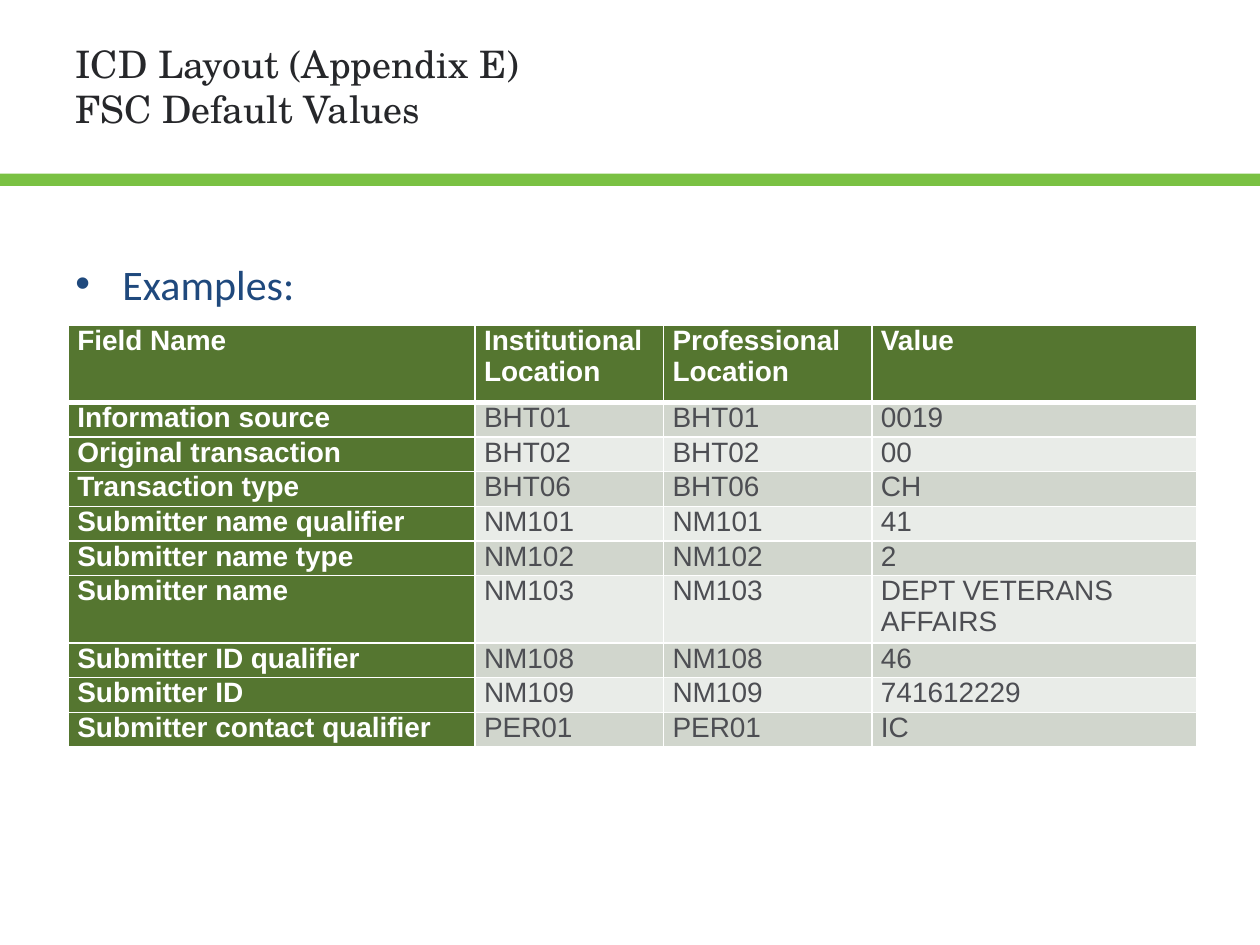
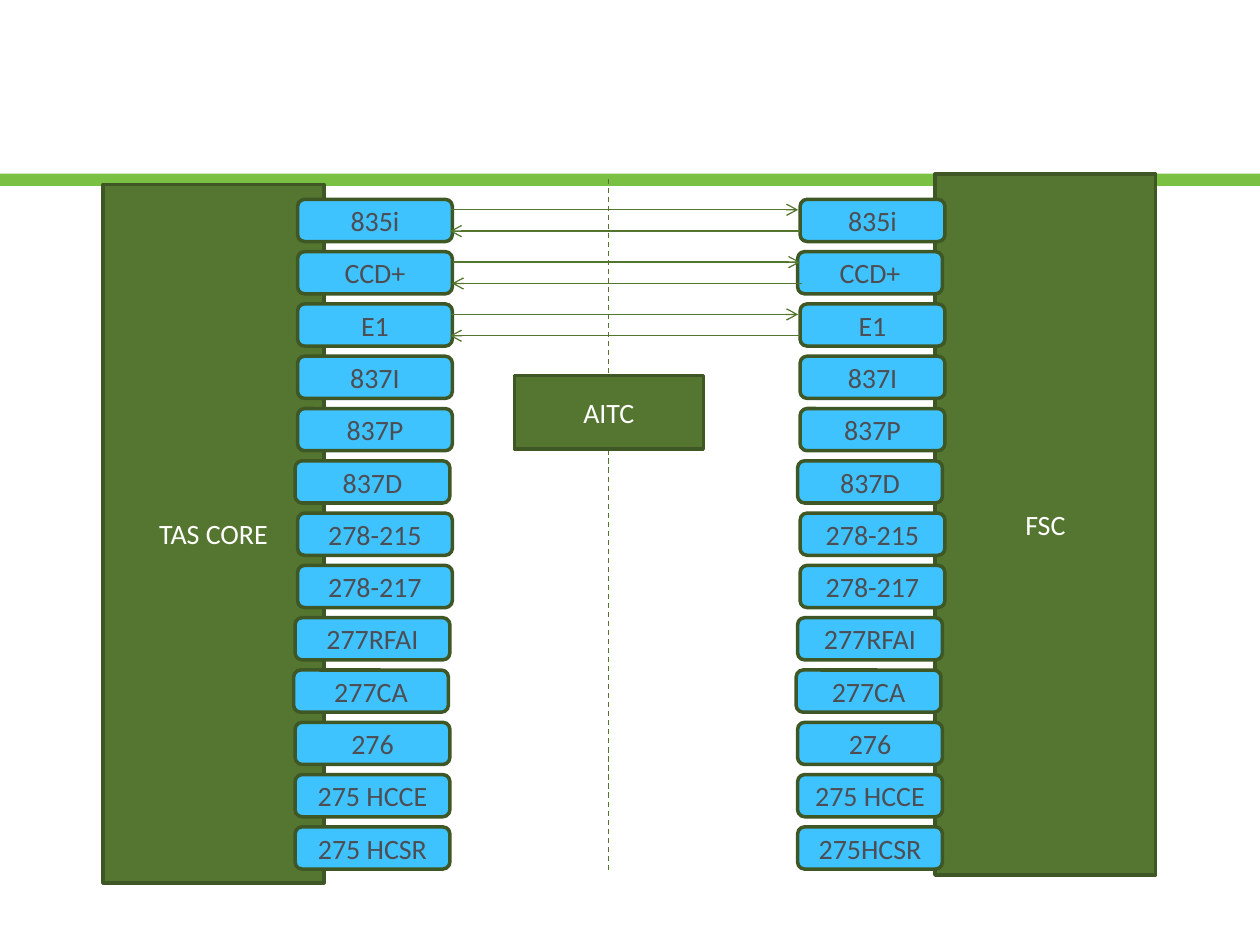
from lxml import etree
from pptx import Presentation
from pptx.dml.color import RGBColor
from pptx.enum.dml import MSO_LINE
from pptx.enum.shapes import MSO_CONNECTOR, MSO_SHAPE
from pptx.enum.text import MSO_ANCHOR, MSO_AUTO_SIZE, PP_ALIGN
from pptx.oxml.ns import qn
from pptx.util import Cm, Pt

RECT, ROUND = MSO_SHAPE.RECTANGLE, MSO_SHAPE.ROUNDED_RECTANGLE
STRAIGHT = MSO_CONNECTOR.STRAIGHT
DASH = MSO_LINE.DASH
LEFT, CENTER = PP_ALIGN.LEFT, PP_ALIGN.CENTER
BOTTOM, MIDDLE = MSO_ANCHOR.BOTTOM, MSO_ANCHOR.MIDDLE
NO_FIT = MSO_AUTO_SIZE.NONE

WHITE, LIME, GREEN, EDGE = "FFFFFF", "7AC143", "557630", "3F5724"
WIRE, SKY, GRAY = "53752D", "3FC3FF", "4D4E53"
BANDS = ("D1D6CD", "E9ECE8")

TITLE = dict(name="TeX Gyre Schola", size=Pt(21.6), bold=False, color="26272A")
BULLET = dict(name="Calibri", size=Pt(24), color="1F497D")
BLOCK = dict(name="Calibri", size=Pt(16), color=WHITE)
PILL = dict(BLOCK, color=GRAY)
HEAD = dict(name="Arial", size=Pt(16), bold=True, color=WHITE)
BODY = dict(HEAD, bold=False, color=GRAY)

COLS = (8.2, 3.8, 4.2, 6.55)
HEADS = ("Field Name", "Institutional Location", "Professional Location", "Value")
FIELDS = (
    ("Information source", "BHT01", "0019"),
    ("Original transaction", "BHT02", "00"),
    ("Transaction type", "BHT06", "CH"),
    ("Submitter name qualifier", "NM101", "41"),
    ("Submitter name type", "NM102", "2"),
    ("Submitter name", "NM103", "DEPT VETERANS AFFAIRS"),
    ("Submitter ID qualifier", "NM108", "46"),
    ("Submitter ID", "NM109", "741612229"),
    ("Submitter contact qualifier", "PER01", "IC"),
)

CODES = ("835i", "CCD+", "E1", "837I", "837P", "837D", "278-215", "278-217",
         "277RFAI", "277CA", "276", "275 HCCE")
LEFT_CODES = CODES + ("275 HCSR",)
RIGHT_CODES = CODES + ("275HCSR",)
LEFT_DENTS = {5: 0.05, 8: 0.05, 9: 0.08, 10: 0.05, 11: 0.05, 12: 0.05}
RIGHT_DENTS = {1: 0.05, **LEFT_DENTS}
STEP = 12.65 / 12


def rgb(code):
    return RGBColor.from_string(code)


def cms(*values):
    return [Cm(v) for v in values]


def style(font, look):
    for key, value in look.items():
        if key == "color":
            font.color.rgb = rgb(value)
        else:
            setattr(font, key, value)


def write(frame, text, look, align=LEFT):
    frame.word_wrap = True
    para = frame.paragraphs[0]
    para.text = text
    para.alignment = align
    for run in para.runs:
        style(run.font, look)
    return para


def add_box(slide, kind, box, fill, edge=None, text="", look=BLOCK):
    shape = slide.shapes.add_shape(kind, *cms(*box))
    shape.shadow.inherit = False
    shape.fill.solid()
    shape.fill.fore_color.rgb = rgb(fill)
    if edge:
        shape.line.color.rgb = rgb(edge)
        shape.line.width = Pt(2)
    else:
        shape.line.fill.background()
    if text:
        shape.text_frame.vertical_anchor = MIDDLE
        write(shape.text_frame, text, look, CENTER)


def add_line(slide, ends, dash=None, arrow=False):
    line = slide.shapes.add_connector(STRAIGHT, *cms(*ends))
    line.line.color.rgb = rgb(WIRE)
    line.line.width = Pt(0.75)
    if dash:
        line.line.dash_style = dash
    if arrow:
        etree.SubElement(line.line._get_or_add_ln(), qn("a:tailEnd"), type="arrow")
    etree.SubElement(line._element.spPr, qn("a:effectLst"))


def add_page(deck, layout):
    """Add a slide with the shared green band."""
    slide = deck.slides.add_slide(deck.slide_layouts[layout])
    add_box(slide, RECT, (-0.13, 3.5, 25.73, 0.25), LIME)
    return slide


def add_title(slide, text, box):
    title = slide.shapes.title
    title.left, title.top, title.width, title.height = cms(*box)
    frame = title.text_frame
    frame.auto_size = NO_FIT
    frame.vertical_anchor = BOTTOM
    write(frame, text, TITLE)


def add_bullet(slide, text, box):
    frame = slide.shapes.add_textbox(*cms(*box)).text_frame
    para = write(frame, text, BULLET)
    para.space_before = Pt(2)
    props = para._p.get_or_add_pPr()
    props.set("marL", str(Cm(0.95)))
    props.set("indent", str(-Cm(0.95)))
    etree.SubElement(props, qn("a:buFont"), typeface="Arial")
    etree.SubElement(props, qn("a:buChar"), char="•")


def rule_cell(cell, top, low):
    """Draw white borders, with the top and bottom widths in points."""
    props = cell._tc.get_or_add_tcPr()
    widths = {"a:lnL": 1, "a:lnR": 1, "a:lnT": top, "a:lnB": low}
    for spot, (tag, width) in enumerate(widths.items()):
        line = etree.Element(qn(tag), w=str(Pt(width)))
        fill = etree.SubElement(line, qn("a:solidFill"))
        etree.SubElement(fill, qn("a:srgbClr"), val=WHITE)
        props.insert(spot, line)


def fill_cell(cell, text, row, col):
    head = row == 0 or col == 0
    cell.fill.solid()
    cell.fill.fore_color.rgb = rgb(GREEN if head else BANDS[(row - 1) % 2])
    cell.margin_left = cell.margin_right = Cm(0.18)
    cell.margin_top = cell.margin_bottom = 0
    para = write(cell.text_frame, text, HEAD if head else BODY)
    para.space_before = para.space_after = Pt(3)
    rule_cell(cell, 3 if row == 1 else 1, 3 if row == 0 else 1)


def add_fields(slide, x, y):
    rows = [HEADS] + [(name, spot, spot, value) for name, spot, value in FIELDS]
    highs = [1.55] + [0.7] * len(FIELDS)
    box = cms(x, y, sum(COLS), sum(highs))
    table = slide.shapes.add_table(len(rows), len(COLS), *box).table
    table.first_row = table.horz_banding = False
    for col, width in zip(table.columns, COLS):
        col.width = Cm(width)
    for row, high in zip(table.rows, highs):
        row.height = Cm(high)
    for r, row in enumerate(rows):
        for c, text in enumerate(row):
            fill_cell(table.cell(r, c), text, r, c)


def add_codes(slide, codes, dents, x, y, width):
    for i, code in enumerate(codes):
        box = (x - dents.get(i, 0), y + i * STEP, width, 0.85)
        add_box(slide, ROUND, box, SKY, EDGE, code, PILL)


def add_flows(slide, x, y, width):
    """Draw an arrow each way for the first three codes."""
    for i, shift in enumerate((0, 0.04, 0)):
        top, start = y + i * STEP, x + shift
        end = start + width
        add_line(slide, (start, top + 0.21, end, top + 0.21), arrow=True)
        add_line(slide, (end + 0.04, top + 0.64, start - 0.02, top + 0.64), arrow=True)


def table_page(deck):
    slide = add_page(deck, 5)
    add_title(slide, "ICD Layout (Appendix E) \vFSC Default Values",
              (1.27, 0.51, 22.86, 2.26))
    add_bullet(slide, "Examples:", (1.27, 5.08, 22.86, 11.94))
    add_fields(slide, 1.38, 6.56)


def flow_page(deck):
    slide = add_page(deck, 6)
    add_box(slide, RECT, (2.08, 3.72, 4.45, 14.08), GREEN, EDGE, "TAS CORE")
    add_box(slide, RECT, (18.85, 3.51, 4.45, 14.13), GREEN, EDGE, "FSC")
    add_line(slide, (12.27, 3.6, 12.27, 17.57), dash=DASH)
    add_box(slide, RECT, (10.37, 7.57, 3.81, 1.48), GREEN, EDGE, "AITC")
    top = 4.02
    add_codes(slide, LEFT_CODES, LEFT_DENTS, 6, top, 3.12)
    add_codes(slide, RIGHT_CODES, RIGHT_DENTS, 16.13, top, 2.92)
    add_flows(slide, 9.09, top, 7)


def main():
    deck = Presentation()
    deck.slide_width, deck.slide_height = cms(25.4, 19.05)
    table_page(deck)
    flow_page(deck)
    deck.save("out.pptx")


if __name__ == "__main__":
    main()
